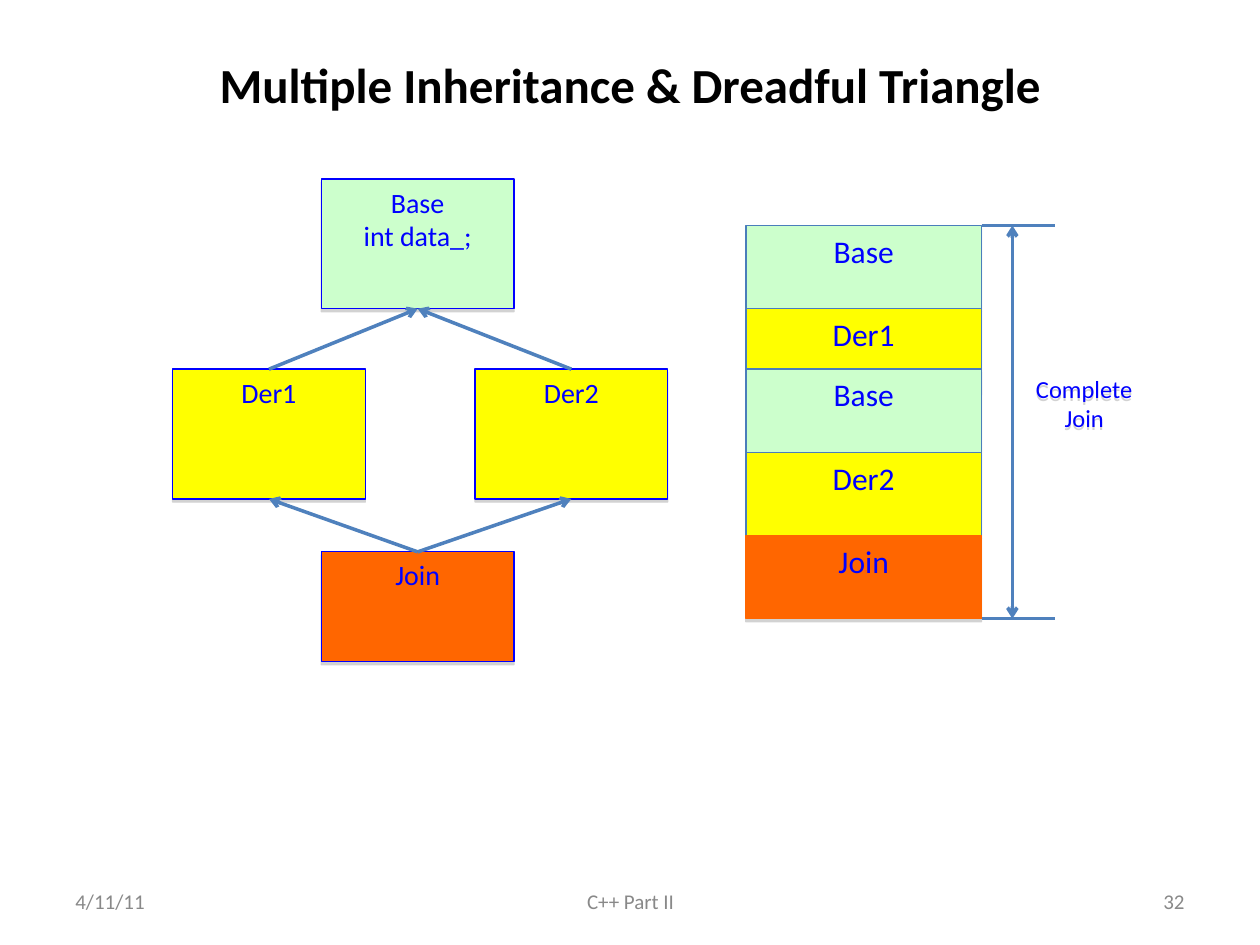
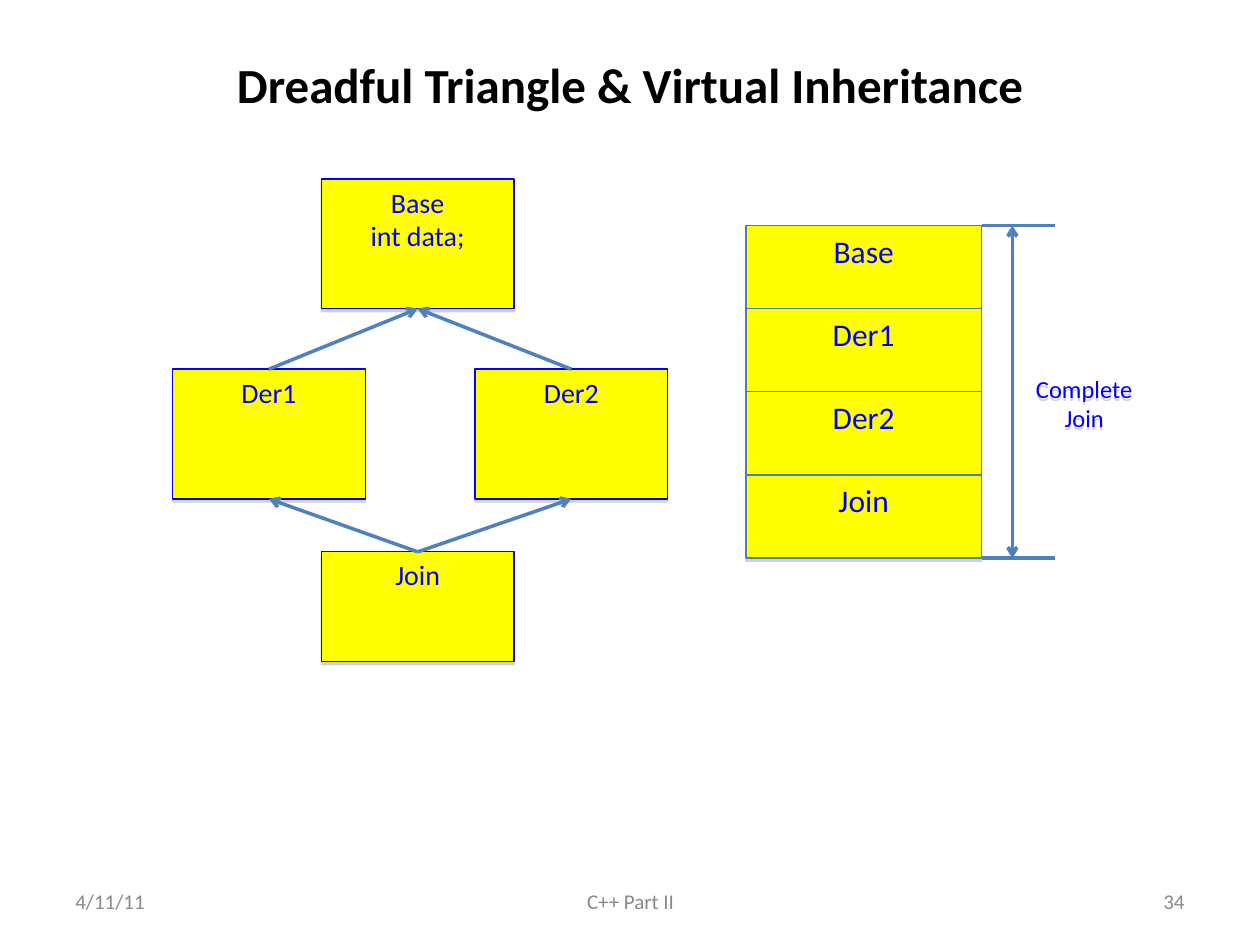
import pptx
import pptx.dml.color
import pptx.enum.shapes
import pptx.enum.text
import pptx.oxml
import pptx.oxml.ns
import pptx.util

ALIGN = pptx.enum.text.PP_ALIGN
ANCHOR = pptx.enum.text.MSO_ANCHOR
color = pptx.dml.color.RGBColor.from_string

GREEN, YELLOW, ORANGE = "CCFFCC", "FFFF00", "FF6600"
BLUE, ARROW_BLUE, EDGE_BLUE = "0000FF", "4F81BD", "4A7EBB"
BLACK, GRAY = "000000", "898989"
FONT = "Calibri"
SHADOW = (
    f'<a:outerShdw {pptx.oxml.ns.nsdecls("a")} blurRad="0" dist="22860" dir="5400000" rotWithShape="0">'
    '<a:srgbClr val="808080"><a:alpha val="35000"/></a:srgbClr></a:outerShdw>'
)

presentation = pptx.Presentation()
presentation.slide_width = pptx.util.Inches(10)
presentation.slide_height = pptx.util.Inches(7.5)
GRID = presentation.slide_width / 100


def add_box(slide, bounds, text, size, text_color, fill=None, edge=None,
            align=ALIGN.CENTER, bold=False, shadow=False):
    left, top, width, height = [round(value * GRID) for value in bounds]
    if fill:
        shape = slide.shapes.add_shape(
            pptx.enum.shapes.MSO_SHAPE.FLOWCHART_PROCESS, left, top, width, height)
        shape.fill.solid()
        shape.fill.fore_color.rgb = color(fill)
        shape.line.color.rgb = color(edge)
        shape.line.width = pptx.util.Pt(0.75)
        shape.shadow.inherit = False
    else:
        shape = slide.shapes.add_textbox(left, top, width, height)
    if shadow:
        shape.shadow.inherit = False
        effects = shape.element.spPr.find(pptx.oxml.ns.qn("a:effectLst"))
        effects.append(pptx.oxml.parse_xml(SHADOW))
    frame = shape.text_frame
    frame.text = text
    frame.word_wrap = True
    frame.vertical_anchor = ANCHOR.TOP if fill else ANCHOR.MIDDLE
    for paragraph in frame.paragraphs:
        paragraph.alignment = align
        for run in paragraph.runs:
            run.font.name = FONT
            run.font.size = pptx.util.Pt(size)
            run.font.bold = bold
            run.font.color.rgb = color(text_color)


def add_line(slide, start, end, arrow_ends=()):
    points = [round(value * GRID) for value in (*start, *end)]
    connector = slide.shapes.add_connector(pptx.enum.shapes.MSO_CONNECTOR.STRAIGHT, *points)
    connector.line.color.rgb = color(ARROW_BLUE)
    connector.line.width = pptx.util.Pt(2)
    properties = connector.element.spPr
    outline = properties.find(pptx.oxml.ns.qn("a:ln"))
    for arrow_end in arrow_ends:
        outline.append(pptx.oxml.parse_xml(
            f'<a:{arrow_end} {pptx.oxml.ns.nsdecls("a")} type="arrow"/>'))
    properties.append(pptx.oxml.parse_xml(f'<a:effectLst {pptx.oxml.ns.nsdecls("a")}/>'))


CLASS_WIDTH, CLASS_HEIGHT, JOIN_HEIGHT = 15.3, 10.3, 8.7
LEFT_COLUMN, MIDDLE_COLUMN, RIGHT_COLUMN = 13.7, 25.5, 37.7
BASE_ROW, DERIVED_ROW, JOIN_ROW = 14.2, 29.3, 43.8
STACK_LEFT, STACK_TOP, STACK_WIDTH, BLOCK_HEIGHT = 59.2, 17.9, 18.7, 6.6
STACK_RIGHT = STACK_LEFT + STACK_WIDTH
COVERED_HEIGHT = 4.8
FOOTER_ROW, FOOTER_HEIGHT = 69.5, 4

lessons = [
    {
        "title": "Multiple Inheritance & Dreadful Triangle",
        "number": "32",
        "base_text": "Base\nint data_;",
        "fills": {"Base": GREEN, "Der1": YELLOW, "Der2": YELLOW, "Join": ORANGE},
        "stack": [("Base", BLOCK_HEIGHT), ("Der1", COVERED_HEIGHT), ("Base", BLOCK_HEIGHT),
                  ("Der2", BLOCK_HEIGHT), ("Join", BLOCK_HEIGHT)],
    },
    {
        "title": "Dreadful Triangle & Virtual Inheritance",
        "number": "34",
        "base_text": "Base\nint data;",
        "fills": dict.fromkeys(["Base", "Der1", "Der2", "Join"], YELLOW),
        "stack": [(name, BLOCK_HEIGHT) for name in ("Base", "Der1", "Der2", "Join")],
    },
]

for lesson in lessons:
    slide = presentation.slides.add_slide(presentation.slide_layouts[6])
    fills = lesson["fills"]
    add_box(slide, (7.5, 2.5, 85, 8.3), lesson["title"], 28, BLACK, bold=True)

    for name, text, left, top, height in [
        ("Der1", "Der1", LEFT_COLUMN, DERIVED_ROW, CLASS_HEIGHT),
        ("Der2", "Der2", RIGHT_COLUMN, DERIVED_ROW, CLASS_HEIGHT),
        ("Join", "Join", MIDDLE_COLUMN, JOIN_ROW, JOIN_HEIGHT),
        ("Base", lesson["base_text"], MIDDLE_COLUMN, BASE_ROW, CLASS_HEIGHT),
    ]:
        add_box(slide, (left, top, CLASS_WIDTH, height), text, 16, BLUE,
                fills[name], BLUE, shadow=True)

    middle = MIDDLE_COLUMN + CLASS_WIDTH / 2
    for column in (LEFT_COLUMN, RIGHT_COLUMN):
        center = column + CLASS_WIDTH / 2
        add_line(slide, (middle, JOIN_ROW), (center, DERIVED_ROW + CLASS_HEIGHT), ["tailEnd"])
        add_line(slide, (center, DERIVED_ROW), (middle, BASE_ROW + CLASS_HEIGHT), ["tailEnd"])

    top = STACK_TOP
    for name, visible_height in lesson["stack"]:
        edge = ORANGE if fills[name] == ORANGE else EDGE_BLUE
        add_box(slide, (STACK_LEFT, top, STACK_WIDTH, BLOCK_HEIGHT), name, 18, BLUE,
                fills[name], edge, shadow=True)
        top += visible_height

    for level in (STACK_TOP, top):
        add_line(slide, (STACK_RIGHT, level), (83.7, level))
    add_line(slide, (80.35, STACK_TOP), (80.35, top), ["headEnd", "tailEnd"])
    add_box(slide, (81.2, 24.5, 9.7, 15), "Complete Join", 14, BLUE, shadow=True)

    for text, left, width, align in [
        (lesson["number"], 71.7, 23.3, ALIGN.RIGHT),
        ("C++ Part II", 34.2, 31.7, ALIGN.CENTER),
        ("4/11/11", 5, 23.3, ALIGN.LEFT),
    ]:
        add_box(slide, (left, FOOTER_ROW, width, FOOTER_HEIGHT), text, 12, GRAY, align=align)

presentation.save("out.pptx")
